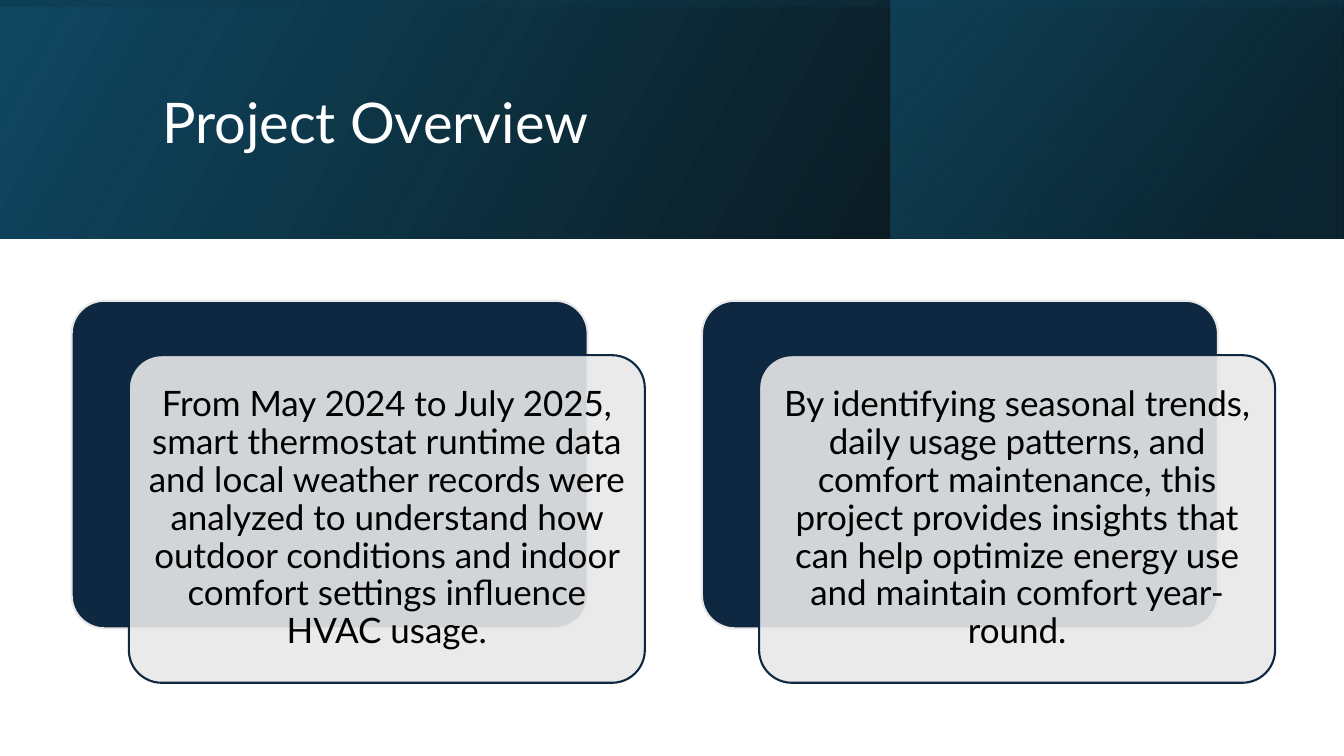
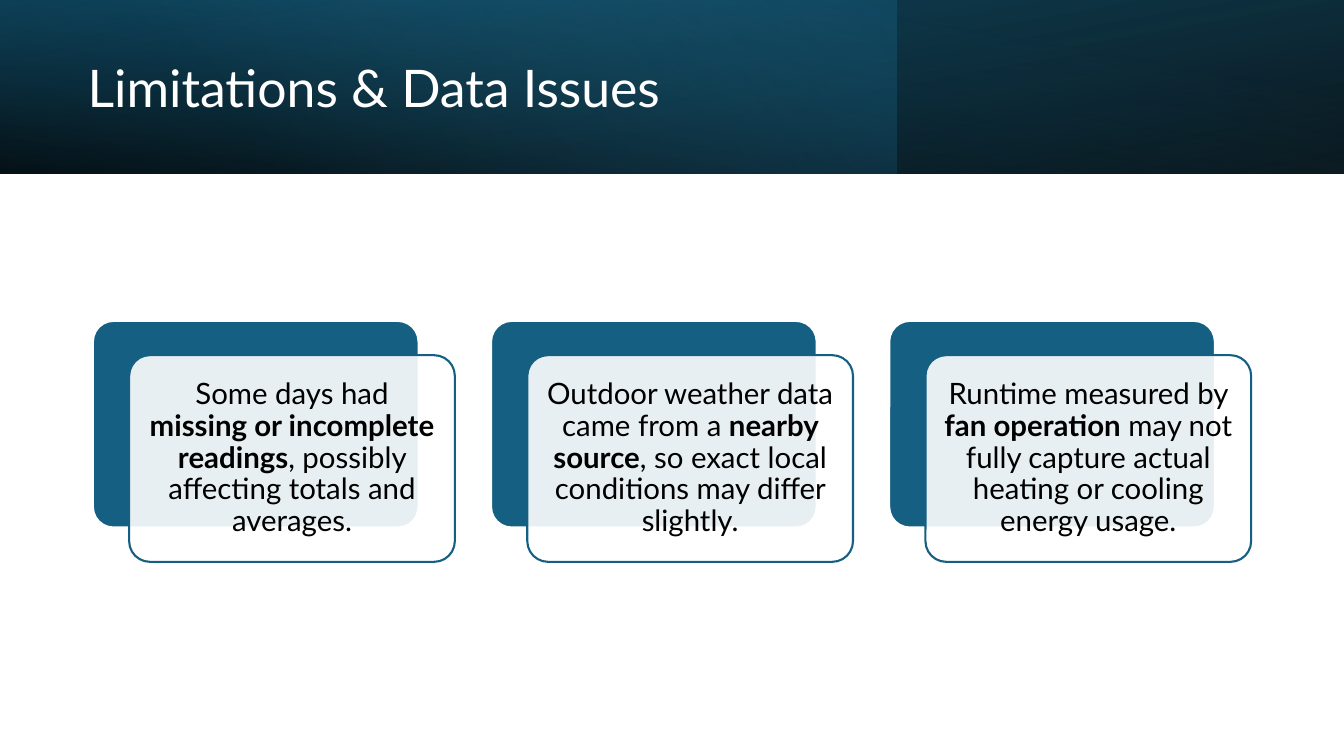
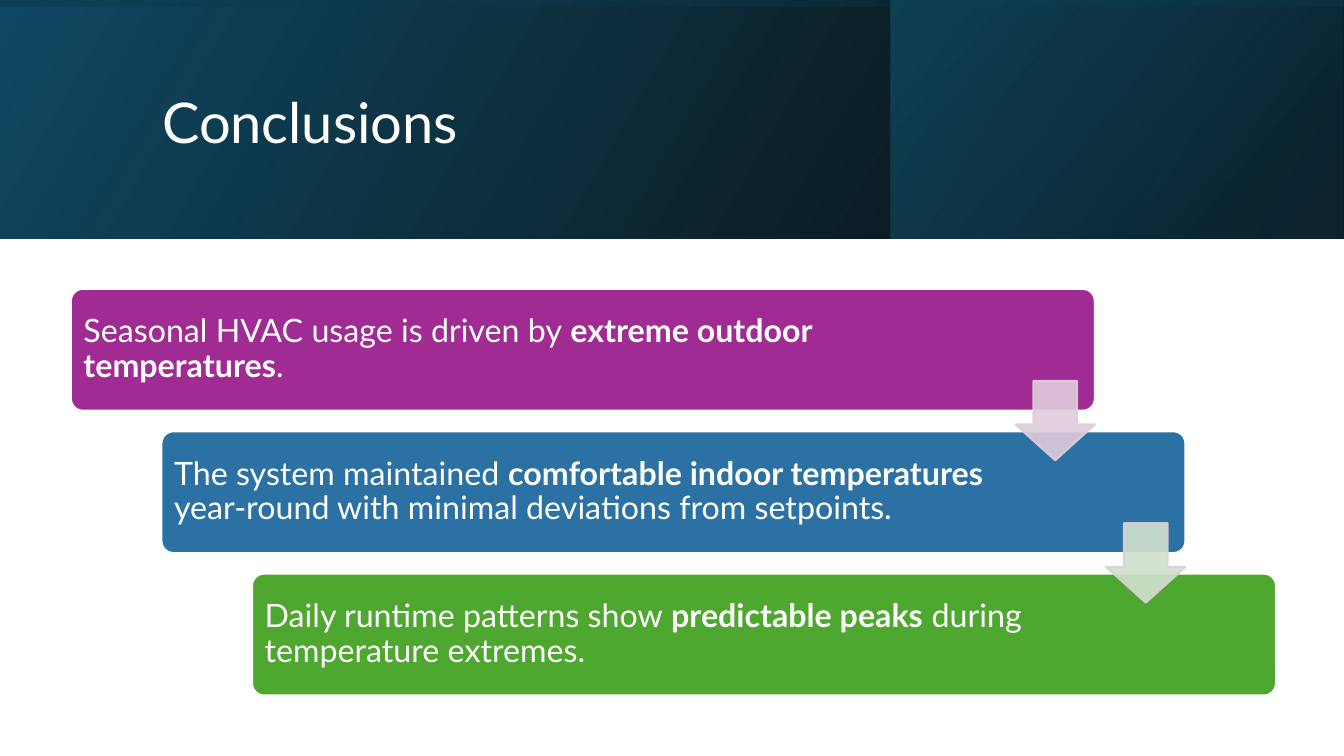
import pptx
import pptx.dml.color
import pptx.enum.shapes
import pptx.enum.text
import pptx.util
from pptx.oxml.ns import qn
from pptx.oxml.xmlchemy import OxmlElement

Pt = pptx.util.Pt
SHAPES = pptx.enum.shapes.MSO_SHAPE
ALIGN = pptx.enum.text.PP_ALIGN
FONT = "Lato"
WHITE, BLACK = "FFFFFF", "000000"
NAVY, TEAL, DEEP_TEAL, GREY = "0E2841", "156082", "104862", "E8E8E8"
LINE_WIDTH = 1.5

# Headers: bands are (box, rotation, flipped, angle, stops);
# a stop is (position %, colour, opacity %)
TALL_HEADER = {
    "title_box": (108.7, 27.4, 765.4, 123.8),
    "title_size": 40,
    "bands": [
        ((0, 0, 960, 170.6), 0, True, 330, [(0, BLACK, 96), (100, DEEP_TEAL, 100)]),
        ((636.5, 0, 322.9, 170.6), 0, True, 320, [(19, "0B3041", 68), (100, TEAL, 48)]),
        ((394.7, -394.7, 170.6, 960), 270, True, 350, [(23, DEEP_TEAL, 16), (99, BLACK, 45)]),
    ],
}
SHORT_HEADER = {
    "title_box": (55.4, 19.4, 617, 91.4),
    "title_size": 37,
    "bands": [
        ((0, 0, 960, 123.8), 180, True, 100, [(0, BLACK, 96), (100, DEEP_TEAL, 100)]),
        ((0, 0, 640.2, 123.8), 0, False, 140, [(0, TEAL, 41), (74, "46B1E1", 0)]),
        ((0, 0, 960, 123.8), 0, True, 260, [(0, BLACK, 63), (78, TEAL, 15)]),
    ],
}

# Card slides: texts are lists of runs, every second run is bold
OVERVIEW = {
    "texts": [
        ["From May 2024 to July 2025, smart thermostat runtime data and local weather "
         "records were analyzed to understand how outdoor conditions and indoor comfort "
         "settings influence HVAC usage."],
        ["By identifying seasonal trends, daily usage patterns, and comfort maintenance, "
         "this project provides insights that can help optimize energy use and maintain "
         "comfort year-round."],
    ],
    "start": (51.2, 214.8), "size": (368.6, 234), "offset": (40.8, 38.9),
    "dark": NAVY, "light": GREY, "text_size": 25, "inset": 7.2,
}
LIMITATIONS = {
    "texts": [
        ["Some days had ", "missing or incomplete readings",
         ", possibly affecting totals and averages."],
        ["Outdoor weather data came from a ", "nearby source",
         ", so exact local conditions may differ slightly."],
        ["Runtime measured by ", "fan operation",
         " may not fully capture actual heating or cooling energy usage."],
    ],
    "start": (66.4, 229.2), "size": (232.6, 147.6), "offset": (25.9, 24.5),
    "dark": TEAL, "light": WHITE, "text_size": 21, "inset": 6.3,
}

# Conclusion steps: (colour, right inset, runs)
STEPS = [
    ("A02B93", 96, ["Seasonal HVAC usage is driven by ",
                    "extreme outdoor temperatures", "."]),
    ("2C71A4", 128, ["The system maintained ", "comfortable indoor temperatures",
                     " year-round with minimal deviations from setpoints."]),
    ("4EA72E", 128, ["Daily runtime patterns show ", "predictable peaks",
                     " during temperature extremes."]),
]
STEP_START, STEP_SIZE, STEP_SHIFT = (50.6, 206.3), (731.5, 87.1), (64.7, 101.7)
ARROW_SIZE, ARROW_DROP = 56.7, 65.8
ARROW_FILLS, ARROW_LINE = ["DFCDDC", "D0E1CD"], "DFCDDC"


def rgb(colour):
    return pptx.dml.color.RGBColor.from_string(colour)


def set_opacity(shape, percents):
    """Give the shape's colours, in document order, these opacities."""
    for colour, percent in zip(shape._element.spPr.iter(qn("a:srgbClr")), percents):
        alpha = OxmlElement("a:alpha")
        alpha.set("val", str(percent * 1000))
        colour.append(alpha)


def add_shape(slide, kind, box, fill=None, line=None, adjustments=()):
    shape = slide.shapes.add_shape(kind, *map(Pt, box))
    shape.shadow.inherit = False
    for index, value in enumerate(adjustments):
        shape.adjustments[index] = value
    if fill:
        shape.fill.solid()
        shape.fill.fore_color.rgb = rgb(fill)
    if line:
        shape.line.color.rgb = rgb(line)
        shape.line.width = Pt(LINE_WIDTH)
    else:
        shape.line.fill.background()
    return shape


def add_band(slide, box, rotation, flipped, angle, stops):
    band = add_shape(slide, SHAPES.RECTANGLE, box)
    band.rotation = rotation
    if flipped:
        band._element.spPr.xfrm.set("flipH", "1")
    band.fill.gradient()
    band.fill.gradient_angle = 360 - angle
    for stop, (position, colour, _) in zip(band.fill.gradient_stops, stops):
        stop.position = position / 100
        stop.color.rgb = rgb(colour)
    set_opacity(band, [opacity for _, _, opacity in stops])


def write(shape, runs, size, colour, align, insets=None):
    frame = shape.text_frame
    frame.word_wrap = True
    frame.auto_size = pptx.enum.text.MSO_AUTO_SIZE.NONE
    frame.vertical_anchor = pptx.enum.text.MSO_ANCHOR.MIDDLE
    if insets:
        (frame.margin_left, frame.margin_top,
         frame.margin_right, frame.margin_bottom) = map(Pt, insets)
    paragraph = frame.paragraphs[0]
    paragraph.alignment = align
    paragraph.line_spacing = 0.9
    paragraph.font.name = FONT
    paragraph.font.size = Pt(size)
    paragraph.font.color.rgb = rgb(colour)
    for index, text in enumerate(runs):
        run = paragraph.add_run()
        run.text = text
        if index % 2:
            run.font.bold = True


def add_titled_slide(presentation, title_text, header):
    slide = presentation.slides.add_slide(presentation.slide_layouts[5])
    for band in header["bands"]:
        add_band(slide, *band)
    title = slide.shapes.title
    title.left, title.top, title.width, title.height = map(Pt, header["title_box"])
    write(title, [title_text], header["title_size"], WHITE, ALIGN.LEFT)
    slide.shapes._spTree.append(title._element)  # above the bands
    return slide


def add_cards(slide, cards):
    (left, top), (width, height) = cards["start"], cards["size"]
    shift_x, shift_y = cards["offset"]
    for index, runs in enumerate(cards["texts"]):
        x = left + index * (width + 2 * shift_x)
        add_shape(slide, SHAPES.ROUNDED_RECTANGLE, (x, top, width, height),
                  cards["dark"], cards["light"], [0.1])
        front = add_shape(slide, SHAPES.ROUNDED_RECTANGLE,
                          (x + shift_x, top + shift_y, width, height),
                          cards["light"], cards["dark"], [0.1])
        set_opacity(front, [90])
        write(front, runs, cards["text_size"], BLACK, ALIGN.CENTER, [cards["inset"]] * 4)


def add_steps(slide):
    corners = [(STEP_START[0] + index * STEP_SHIFT[0], STEP_START[1] + index * STEP_SHIFT[1])
               for index in range(len(STEPS))]
    for corner, (colour, right_inset, runs) in zip(corners, STEPS):
        step = add_shape(slide, SHAPES.ROUNDED_RECTANGLE, corner + STEP_SIZE,
                         colour, WHITE, [0.1])
        write(step, runs, 23, WHITE, ALIGN.LEFT, (6.5, 6.5, right_inset, 6.5))
    for (x, y), colour in zip(corners, ARROW_FILLS):
        box = (x + STEP_SIZE[0] - ARROW_SIZE, y + ARROW_DROP, ARROW_SIZE, ARROW_SIZE)
        arrow = add_shape(slide, SHAPES.DOWN_ARROW, box, colour, ARROW_LINE, [0.55, 0.45])
        set_opacity(arrow, [90, 90])


def main():
    presentation = pptx.Presentation()
    presentation.slide_width, presentation.slide_height = Pt(960), Pt(540)
    add_cards(add_titled_slide(presentation, "Project Overview", TALL_HEADER), OVERVIEW)
    add_cards(add_titled_slide(presentation, "Limitations & Data Issues", SHORT_HEADER),
              LIMITATIONS)
    add_steps(add_titled_slide(presentation, "Conclusions", TALL_HEADER))
    presentation.save("out.pptx")


if __name__ == "__main__":
    main()
